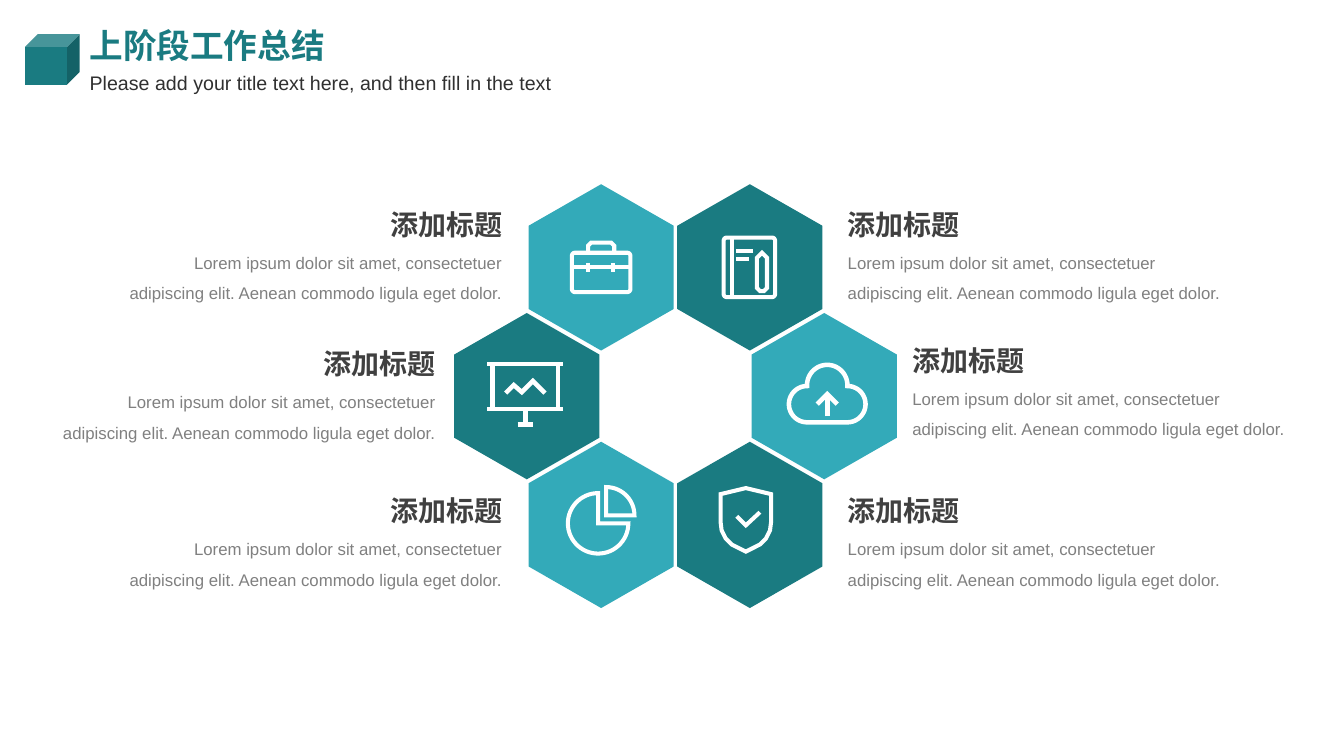
import math

import pptx
import pptx.dml.color
import pptx.enum.shapes
import pptx.enum.text
import pptx.util
from lxml import etree
from pptx.oxml.ns import qn

Inches = pptx.util.Inches
Pt = pptx.util.Pt
RGB = pptx.dml.color.RGBColor.from_string
SHAPE = pptx.enum.shapes.MSO_SHAPE
ALIGN = pptx.enum.text.PP_ALIGN


class Theme:
    dark = RGB("1A7B81")
    light = RGB("33AAB9")
    white = RGB("FFFFFF")
    title = {"size": Pt(24), "bold": True, "name": "Arial"}, dark
    subtitle = {"size": Pt(14), "name": "Arial"}, RGB("303030")
    heading = {"size": Pt(20), "bold": True, "name": "Arial"}, RGB("404040")
    body = {"size": Pt(12), "name": "Arial"}, RGB("808080")


HEADING = "添加标题"
BODY = ("Lorem ipsum dolor sit amet, consectetuer adipiscing elit. "
        "Aenean commodo ligula eget dolor.")


def add_text(slide, box, text, style, wrap=True, **paragraph_format):
    shape = slide.shapes.add_textbox(*(Inches(length) for length in box))
    frame = shape.text_frame
    frame.word_wrap = wrap
    frame.auto_size = pptx.enum.text.MSO_AUTO_SIZE.SHAPE_TO_FIT_TEXT
    paragraph = frame.paragraphs[0]
    for key, value in paragraph_format.items():
        setattr(paragraph, key, value)
    run = paragraph.add_run()
    run.text = text
    font_format, color = style
    for key, value in font_format.items():
        setattr(run.font, key, value)
    run.font.color.rgb = color


def add_outline(slide, points, closed=True):
    """Freeform through points given in inches."""
    corners = [(Inches(x), Inches(y)) for x, y in points]
    builder = slide.shapes.build_freeform(*corners[0])
    builder.add_line_segments(corners[1:], close=closed)
    shape = builder.convert_to_shape()
    shape.shadow.inherit = False
    return shape


def add_solid(shape, color):
    shape.shadow.inherit = False
    shape.fill.solid()
    shape.fill.fore_color.rgb = color
    shape.line.fill.background()


def add_stroke(slide, points, closed, width):
    if len(points) == 2:
        ends = [Inches(value) for point in points for value in point]
        shape = slide.shapes.add_connector(
            pptx.enum.shapes.MSO_CONNECTOR.STRAIGHT, *ends)
        etree.SubElement(shape._element.spPr, qn("a:effectLst"))
    else:
        shape = add_outline(slide, points, closed)
        shape.fill.background()
    shape.line.color.rgb = Theme.white
    shape.line.width = Inches(width)
    miter = etree.SubElement(shape.line._get_or_add_ln(), qn("a:miter"))
    miter.set("lim", "800000")


def arc(x, y, radius, start, end):
    """Points along an arc; degrees run clockwise from the right."""
    steps = max(4, abs(end - start) // 6)
    angles = [math.radians(start + (end - start) * step / steps)
              for step in range(steps + 1)]
    return [(x + radius * math.cos(angle), y + radius * math.sin(angle))
            for angle in angles]


def rounded(left, top, right, bottom, radius=0.03):
    corners = [(right - radius, bottom - radius), (left + radius, bottom - radius),
               (left + radius, top + radius), (right - radius, top + radius)]
    return [point for index, (x, y) in enumerate(corners)
            for point in arc(x, y, radius, 90 * index, 90 * index + 90)]


# Each icon: offset from the hexagon centre, line width, closed outlines, open lines
BRIEFCASE = ((-0.31, -0.265), 0.04, [rounded(0.02, 0.12, 0.6, 0.51)], [
    [(0.18, 0.12), (0.18, 0.05), (0.21, 0.02), (0.41, 0.02), (0.44, 0.05), (0.44, 0.12)],
    [(0.02, 0.265), (0.6, 0.265)],
    [(0.18, 0.22), (0.18, 0.31)],
    [(0.43, 0.22), (0.43, 0.31)]])
NOTEBOOK = ((-0.28, -0.315), 0.04, [
    rounded(0.02, 0.02, 0.53, 0.61),
    [(0.35, 0.22), (0.4, 0.17), (0.45, 0.22), (0.45, 0.52), (0.42, 0.55),
     (0.38, 0.55), (0.35, 0.52)]], [
    [(0.1, 0.02), (0.1, 0.61)],
    [(0.14, 0.15), (0.31, 0.15)],
    [(0.14, 0.23), (0.27, 0.23)]])
BOARD = ((-0.39, -0.34), 0.045, [], [
    [(0, 0.02), (0.75, 0.02)],
    [(0, 0.47), (0.75, 0.47)],
    [(0.05, 0.02), (0.05, 0.47)],
    [(0.7, 0.02), (0.7, 0.47)],
    [(0.18, 0.31), (0.26, 0.23), (0.34, 0.3), (0.45, 0.19), (0.57, 0.31)],
    [(0.375, 0.47), (0.375, 0.62)],
    [(0.3, 0.62), (0.45, 0.62)]])
CLOUD = ((-0.38, -0.33), 0.045, [
    arc(0.21, 0.41, 0.18, 90, 270) + arc(0.41, 0.22, 0.2, 180, 360)
    + arc(0.61, 0.41, 0.18, 270, 450)], [
    [(0.41, 0.53), (0.41, 0.31)],
    [(0.31, 0.41), (0.41, 0.31), (0.51, 0.41)]])
PIE = ((-0.35, -0.395), 0.04, [
    [(0.32, 0.38)] + arc(0.32, 0.38, 0.3, 0, 270),
    [(0.4, 0.3)] + arc(0.4, 0.3, 0.28, 270, 360)], [])
SHIELD = ((-0.31, -0.385), 0.04, [
    [(0.27, 0.02), (0.52, 0.08), (0.52, 0.36), (0.51, 0.44), (0.47, 0.52),
     (0.41, 0.58), (0.27, 0.65), (0.13, 0.58), (0.07, 0.52), (0.03, 0.44),
     (0.02, 0.36), (0.02, 0.08)]], [
    [(0.18, 0.3), (0.27, 0.39), (0.41, 0.26)]])


def add_icon(slide, x, y, icon):
    (shift_x, shift_y), width, outlines, lines = icon
    for closed, strokes in ((True, outlines), (False, lines)):
        for stroke in strokes:
            points = [(x + shift_x + a, y + shift_y + b) for a, b in stroke]
            add_stroke(slide, points, closed, width)


def add_hexagon(slide, x, y, color, width=1.44, height=1.65):
    points = [(x, y - height / 2), (x + width / 2, y - height / 4),
              (x + width / 2, y + height / 4), (x, y + height / 2),
              (x - width / 2, y + height / 4), (x - width / 2, y - height / 4)]
    add_solid(add_outline(slide, points), color)


def add_ring(slide, x, y, radius, icons):
    """Hexagons around a centre, clockwise from the right."""
    for index, icon in enumerate(icons):
        angle = math.radians(60 * index)
        center = x + radius * math.cos(angle), y + radius * math.sin(angle)
        color = Theme.dark if index in (1, 3, 5) else Theme.light
        add_hexagon(slide, *center, color)
        add_icon(slide, *center, icon)


def add_caption(slide, edge, top, align):
    """Heading and body that share the edge facing the ring."""
    def place(width, offset, height):
        left = edge - width if align == ALIGN.RIGHT else edge
        return left, top + offset, width, height

    add_text(slide, place(3.93, 0.35, 0.67), BODY, Theme.body,
             alignment=align, line_spacing=1.5)
    add_text(slide, place(1.32, 0, 0.44), HEADING, Theme.heading,
             wrap=False, alignment=align)


def add_header(slide, left, top):
    cube = slide.shapes.add_shape(SHAPE.CUBE, Inches(left), Inches(top + 0.14),
                                  Inches(0.54), Inches(0.5))
    add_solid(cube, Theme.dark)
    add_text(slide, (left + 0.54, top + 0.38, 5.49, 0.38),
             "Please add your title text here, and then fill in the text",
             Theme.subtitle, line_spacing=1.3)
    add_text(slide, (left + 0.54, top, 3.53, 0.5), "上阶段工作总结", Theme.title)


def main():
    presentation = pptx.Presentation()
    presentation.slide_width = Inches(13.33)
    presentation.slide_height = Inches(7.5)
    slide = presentation.slides.add_slide(presentation.slide_layouts[6])
    add_header(slide, 0.25, 0.2)
    add_ring(slide, 6.7, 3.93, 1.475,
             [CLOUD, SHIELD, PIE, BOARD, BRIEFCASE, NOTEBOOK])
    for edge, top in ((5.08, 2.01), (4.42, 3.39), (5.08, 4.85)):
        add_caption(slide, edge, top, ALIGN.RIGHT)
    for edge, top in ((8.31, 2.01), (8.95, 3.36), (8.31, 4.85)):
        add_caption(slide, edge, top, ALIGN.LEFT)
    presentation.save("out.pptx")


if __name__ == "__main__":
    main()
